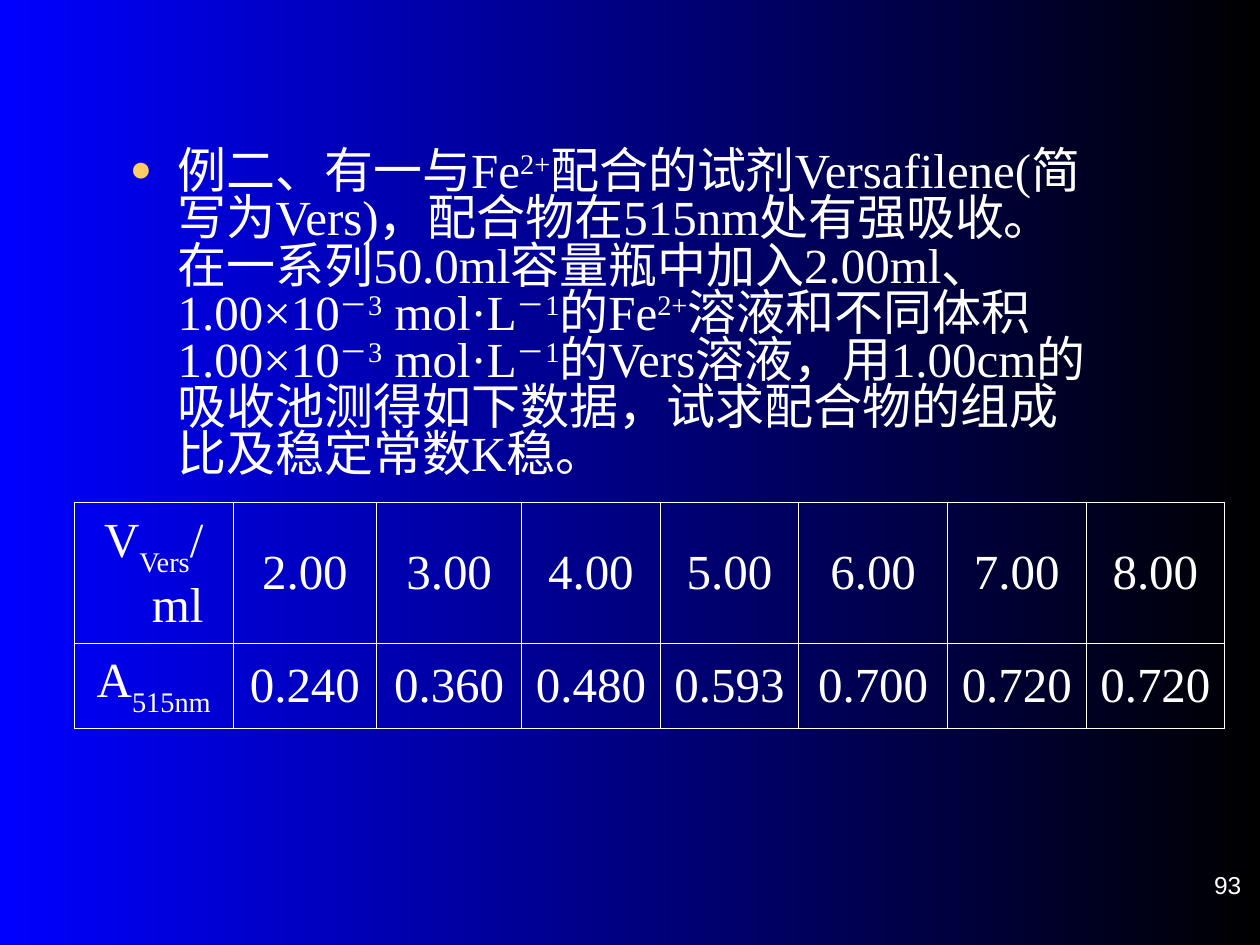
"""Build the slide on the composition ratio and stability constant of a complex."""
import lxml.etree
import pptx
import pptx.dml.color
import pptx.enum.text
import pptx.oxml
import pptx.oxml.ns
import pptx.util

INCH = pptx.util.Inches
ALIGN = pptx.enum.text.PP_ALIGN
ANCHOR = pptx.enum.text.MSO_ANCHOR
WHITE, GOLD, BLUE, BLACK = "FFFFFF", "FFCC66", "0000FF", "000000"
SERIF = "Times New Roman"
SUP, SUB = 30, -30

QUESTION = [
    ("例二、有一与Fe", 0), ("2+", SUP),
    ("配合的试剂Versafilene(简写为Vers)，配合物在515nm处有强吸收。"
     "在一系列50.0ml容量瓶中加入2.00ml、1.00×10", 0), ("－3", SUP),
    (" mol·L", 0), ("－1", SUP), ("的Fe", 0), ("2+", SUP),
    ("溶液和不同体积1.00×10", 0), ("－3", SUP), (" mol·L", 0), ("－1", SUP),
    ("的Vers溶液，用1.00cm的吸收池测得如下数据，"
     "试求配合物的组成比及稳定常数K稳。", 0),
]
HEADS = [
    [("V", 0), ("Vers", SUB), ("/ml", 0)],
    [("A", 0), ("515nm", SUB)],
]
VALUES = [
    ["2.00", "3.00", "4.00", "5.00", "6.00", "7.00", "8.00"],
    ["0.240", "0.360", "0.480", "0.593", "0.700", "0.720", "0.720"],
]
COLS = [1.26, 1.14, 1.15, 1.1, 1.1, 1.18, 1.1, 1.1]
ROWS = [1.12, 0.67]
PAGE = "93"


def rgb(value):
    """Turn a hex string into a colour."""
    return pptx.dml.color.RGBColor.from_string(value)


def set_all(target, **values):
    """Set several attributes of one object."""
    for name, value in values.items():
        setattr(target, name, value)


def add_xml(parent, xml, index=None):
    """Add one DrawingML element to a parent, at the end by default."""
    head, rest = xml.split(" ", 1)
    node = pptx.oxml.parse_xml(f"{head} {pptx.oxml.ns.nsdecls('a')} {rest}")
    parent.insert(len(parent) if index is None else index, node)


def write(p, runs, size=28, font=SERIF):
    """Write white runs, each with its baseline shift in percent."""
    for text, shift in runs:
        r = p.add_run()
        r.text = text
        set_all(r.font, size=pptx.util.Pt(size), name=font)
        r.font.color.rgb = rgb(WHITE)
        if shift:
            r.font._element.set("baseline", str(shift * 1000))


def hang(p):
    """Give a paragraph a hanging indent."""
    pPr = p._p.get_or_add_pPr()
    pPr.set("marL", str(INCH(0.38)))
    pPr.set("indent", str(-INCH(0.38)))
    return pPr


def add_question(s):
    """Place the bulleted question in the body placeholder."""
    sp = s.placeholders[1]
    set_all(sp, left=INCH(0.83), top=INCH(1.15), width=INCH(8.11), height=INCH(2.76))
    tf = sp.text_frame
    set_all(tf, margin_left=INCH(0.2), margin_right=INCH(0.2), word_wrap=True,
            vertical_anchor=ANCHOR.TOP, auto_size=pptx.enum.text.MSO_AUTO_SIZE.NONE)
    p = tf.paragraphs[0]
    set_all(p, line_spacing=0.8, space_before=pptx.util.Pt(0))
    pPr = hang(p)
    for xml in (f'<a:buClr ><a:srgbClr val="{GOLD}"/></a:buClr>',
                '<a:buSzPct val="75000"/>', '<a:buFont typeface="Arial"/>',
                '<a:buChar char="●"/>'):
        add_xml(pPr, xml)
    write(p, QUESTION)


def fill_cell(cell, runs):
    """Write a centred, unfilled cell with thin white borders."""
    cell.fill.background()
    cell.vertical_anchor = ANCHOR.MIDDLE
    p = cell.text_frame.paragraphs[0]
    p.alignment = ALIGN.CENTER
    hang(p)
    write(p, runs)
    for i, side in enumerate("LRTB"):
        add_xml(cell._tc.get_or_add_tcPr(),
                f'<a:ln{side} w="{pptx.util.Pt(0.45)}"><a:solidFill>'
                f'<a:srgbClr val="{WHITE}"/></a:solidFill></a:ln{side}>', i)


def add_data(s):
    """Place the table of volumes and absorbances."""
    table = s.shapes.add_table(len(ROWS), len(COLS), INCH(0.59), INCH(3.99),
                               INCH(sum(COLS)), INCH(sum(ROWS))).table
    set_all(table, first_row=False, horz_banding=False)
    for column, width in zip(table.columns, COLS):
        column.width = INCH(width)
    for row, height, head, values in zip(table.rows, ROWS, HEADS, VALUES):
        row.height = INCH(height)
        for cell, runs in zip(row.cells, [head] + [[(v, 0)] for v in values]):
            fill_cell(cell, runs)


def add_page_number(s):
    """Place the page number at the lower right."""
    tf = s.shapes.add_textbox(INCH(7.87), INCH(6.72), INCH(2.08), INCH(0.42)).text_frame
    set_all(tf, word_wrap=True, margin_top=0, margin_bottom=0,
            vertical_anchor=ANCHOR.BOTTOM)
    p = tf.paragraphs[0]
    p.alignment = ALIGN.RIGHT
    write(p, [(PAGE, 0)], 14, "Arial")


def main():
    """Build and save the slide."""
    prs = pptx.Presentation()
    set_all(prs, slide_width=INCH(10), slide_height=INCH(7.5))
    s = prs.slides.add_slide(prs.slide_layouts[1])
    title = s.shapes.title._element
    title.getparent().remove(title)
    fill = s.background.fill
    fill.gradient()
    fill.gradient_angle = 0
    for stop, color, position in zip(fill.gradient_stops, (BLUE, BLACK), (0, 1)):
        stop.color.rgb = rgb(color)
        stop.position = position
    add_page_number(s)
    add_question(s)
    add_data(s)
    prs.save("out.pptx")


if __name__ == "__main__":
    main()
